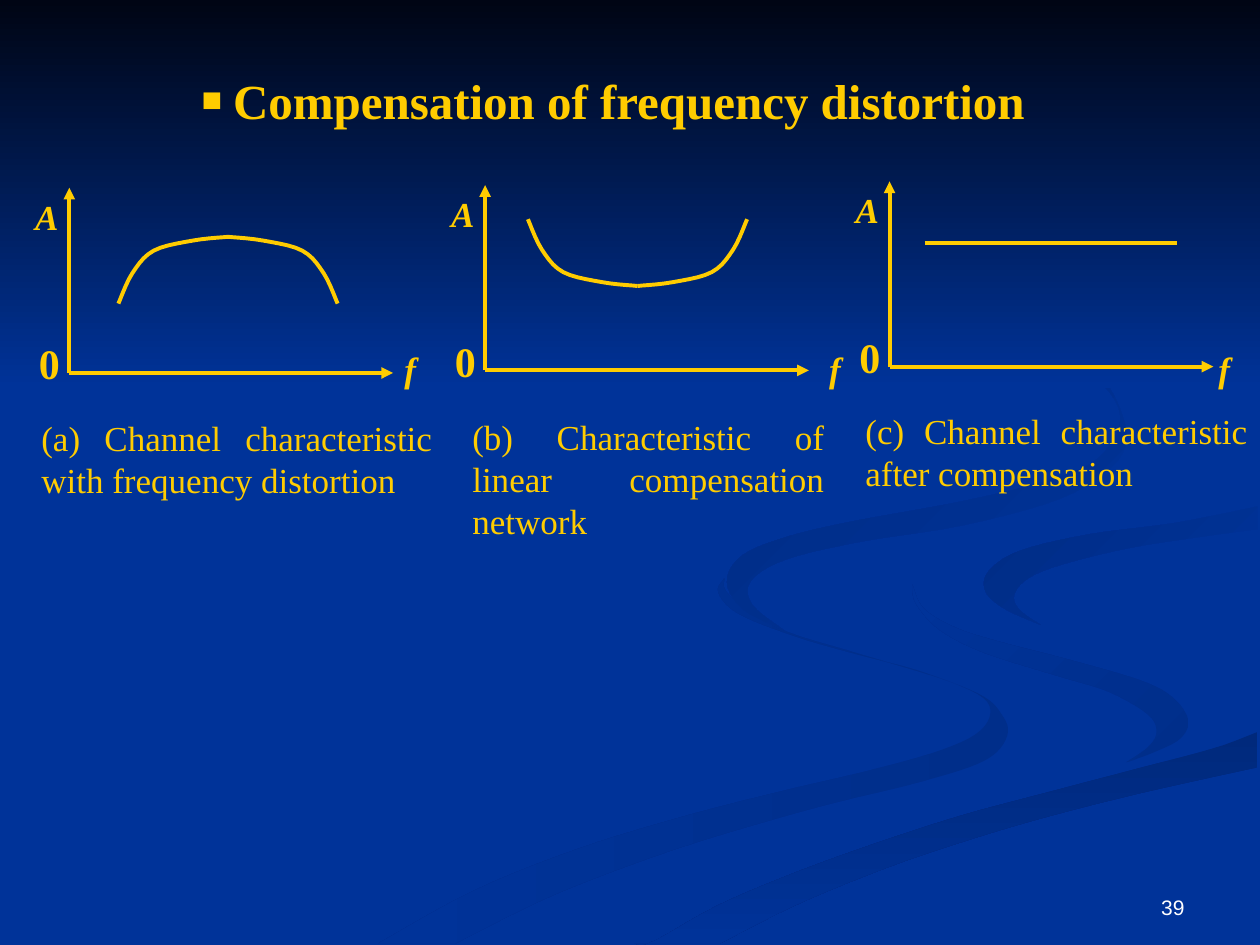
import pptx
import pptx.util
import pptx.dml.color
import pptx.enum.shapes
import pptx.enum.text
import pptx.oxml
import pptx.oxml.ns
from pptx.util import Inches

COLORS = {"background": "003399", "night": "000514", "gold": "FFCC00", "white": "FFFFFF",
          "ribbon_a": "002E8A", "ribbon_b": "00297C", "ribbon_c": "002C85", "ribbon_d": "002B81"}
RGB = {name: pptx.dml.color.RGBColor.from_string(value) for name, value in COLORS.items()}
ALIGN = pptx.enum.text.PP_ALIGN
ANCHOR = pptx.enum.text.MSO_ANCHOR
NS = pptx.oxml.ns.nsdecls("a")


def write_text(box, text, size, font="Times New Roman", color="gold", bold=False, italic=False,
               align=ALIGN.JUSTIFY, anchor=ANCHOR.TOP, inset=True):
    frame = box.text_frame
    frame.word_wrap = True
    frame.auto_size = pptx.enum.text.MSO_AUTO_SIZE.NONE
    frame.vertical_anchor = anchor
    frame.margin_left = frame.margin_right = Inches(0.1 if inset else 0)
    frame.margin_top = frame.margin_bottom = Inches(0.05 if inset else 0)
    paragraph = frame.paragraphs[0]
    paragraph.alignment = align
    run = paragraph.add_run()
    run.text = text
    run.font.size = pptx.util.Pt(size)
    run.font.name = font
    run.font.bold, run.font.italic = bold, italic
    run.font.color.rgb = RGB[color]


def smooth(points, steps=5):
    """Catmull-Rom curve through the points, as points in EMU."""
    padded = [points[0], *points, points[-1]]
    curve = []
    for p0, p1, p2, p3 in zip(padded, padded[1:], padded[2:], padded[3:]):
        for step in range(steps):
            t = step / steps
            curve.append(tuple(
                Inches(b + (c - a) * t / 2 + (2 * a - 5 * b + 4 * c - d) * t ** 2 / 2
                       + (3 * b - a - 3 * c + d) * t ** 3 / 2)
                for a, b, c, d in zip(p0, p1, p2, p3)))
    return curve + [tuple(Inches(v) for v in points[-1])]


prs = pptx.Presentation()
prs.slide_width, prs.slide_height = Inches(10), Inches(7.5)
slide = prs.slides.add_slide(prs.slide_layouts[5])
slide.background.fill.solid()
slide.background.fill.fore_color.rgb = RGB["background"]

# Background ribbons: start colour, end colour, angle, and the two edges
ribbons = [
    ("ribbon_a", "background", 180,
     [(3, 7.49), (3.76, 7.07), (4.58, 6.74), (5.39, 6.49), (6.16, 6.29), (6.84, 6.13),
      (7.39, 5.98), (7.74, 5.83), (7.86, 5.66), (7.76, 5.51), (7.31, 5.33), (6.79, 5.19),
      (6.31, 5.05), (5.86, 4.87), (5.7, 4.7), (5.75, 4.59)],
     [(5.75, 4.59), (5.76, 4.69), (5.94, 4.85), (6.26, 5.02), (6.82, 5.19), (7.45, 5.38),
      (7.81, 5.53), (7.95, 5.67), (8, 5.81), (7.91, 5.97), (7.69, 6.09), (7.21, 6.23),
      (6.51, 6.4), (5.64, 6.65), (4.99, 6.87), (4.31, 7.14), (3.61, 7.49)]),
    ("ribbon_a", "background", 135,
     [(7.24, 4.64), (7.33, 4.83), (7.58, 4.98), (7.92, 5.09), (8.5, 5.24), (9.05, 5.4),
      (9.3, 5.53), (9.43, 5.71), (9.37, 5.86), (9.16, 5.97), (8.94, 6.05)],
     [(8.94, 6.05), (9.11, 5.93), (9.18, 5.81), (9.11, 5.67), (8.8, 5.49), (8.38, 5.36),
      (7.81, 5.18), (7.46, 5), (7.27, 4.79), (7.24, 4.64)]),
    ("ribbon_b", "background", 270,
     [(5.03, 7.49), (5.19, 7.47), (5.69, 7.19), (6.3, 6.93), (6.96, 6.69), (7.64, 6.47),
      (8.31, 6.29), (9.03, 6.1), (9.63, 5.94), (9.98, 5.81)],
     [(9.98, 6.09), (9.03, 6.3), (8.21, 6.51), (7.52, 6.72), (6.95, 6.92), (6.3, 7.19),
      (5.71, 7.49)]),
    ("background", "ribbon_c", 135,
     [(9.98, 4.02), (9.33, 4.15), (8.65, 4.24), (8.1, 4.37), (7.85, 4.53), (7.82, 4.69),
      (7.97, 4.83), (8.26, 4.96)],
     [(8.26, 4.96), (8.09, 4.84), (8.05, 4.72), (8.16, 4.59), (8.43, 4.48), (8.96, 4.35),
      (9.54, 4.26), (9.98, 4.2)]),
    ("background", "ribbon_d", 135,
     [(7.62, 2.33), (8.1, 2.56), (8.54, 2.83), (8.8, 3.07), (8.94, 3.44), (8.83, 3.7),
      (8.41, 3.96), (7.64, 4.17), (6.83, 4.3), (6.24, 4.44), (5.96, 4.61), (5.97, 4.8),
      (6.22, 5)],
     [(6.22, 5), (5.9, 4.84), (5.77, 4.62), (5.89, 4.41), (6.25, 4.26), (6.76, 4.14),
      (7.63, 3.98), (8.3, 3.82), (8.7, 3.65), (8.89, 3.35), (8.76, 3.06), (8.26, 2.66),
      (7.62, 2.33)]),
]
backdrop = []
for start, end, angle, near_edge, far_edge in ribbons:
    outline = smooth(near_edge) + smooth(far_edge)
    builder = slide.shapes.build_freeform(*outline[0])
    builder.add_line_segments(outline[1:], close=True)
    backdrop.append((builder.convert_to_shape(), start, end, angle))

# Dark sky fading into the background
sky = slide.shapes.add_shape(pptx.enum.shapes.MSO_SHAPE.RECTANGLE, 0, 0, Inches(10), Inches(3.08))
backdrop.append((sky, "night", "background", 270))
for layer, start, end, angle in backdrop:
    layer.shadow.inherit = False
    layer.line.fill.background()
    layer.fill.gradient()
    layer.fill.gradient_angle = angle
    for stop, color in zip(layer.fill.gradient_stops, (start, end)):
        stop.color.rgb = RGB[color]

# Title with a square bullet, moved in front of the backdrop
title = slide.shapes.title
slide.shapes._spTree.append(title._element)
title.left, title.top, title.width, title.height = Inches(0), Inches(0.51), Inches(10), Inches(0.75)
title_format = title.text_frame.paragraphs[0]._p.get_or_add_pPr()
title_format.set("marL", str(Inches(1.75)))
title_format.set("indent", str(Inches(-0.25)))
for bullet in (f'<a:buClr {NS}><a:srgbClr val="{COLORS["gold"]}"/></a:buClr>',
               f'<a:buSzPct {NS} val="70000"/>',
               f'<a:buFont {NS} typeface="Arial"/>',
               f'<a:buChar {NS} char="■"/>'):
    title_format.append(pptx.oxml.parse_xml(bullet))
write_text(title, "Compensation of frequency distortion", 28, bold=True, align=ALIGN.LEFT)

# Three plots: origin, left of "f", caption and its box, response
plots = [
    (0.55, 2.96, 3.21, "(a) Channel characteristic with frequency distortion",
     (0.23, 3.26, 3.3, 0.93), "arch"),
    (3.85, 2.94, 6.58, "(b) Characteristic of linear compensation network",
     (3.65, 3.25, 2.99, 1.09), "valley"),
    (7.06, 2.91, 9.67, "(c) Channel characteristic after compensation",
     (6.77, 3.2, 3.23, 0.85), "flat"),
]
# Half of a response: distance from the centre, distance from the extreme
half_response = [(0.87, 0.53), (0.76, 0.29), (0.59, 0.11), (0.28, 0.03), (0, 0)]
centers = {"arch": (1.81, 1.88, 1), "valley": (5.06, 2.27, -1)}

for x, y, f_left, caption, caption_box, response in plots:
    plot = slide.shapes.add_group_shape().shapes

    # Axes with arrowheads, and the flat response without one
    lines = [(x, y, x, y - 1.47, True), (x, y, x + 2.57, y, True)]
    if response == "flat":
        lines.append((7.34, 1.93, 9.34, 1.93, False))
    for x1, y1, x2, y2, arrow in lines:
        line = plot.add_connector(pptx.enum.shapes.MSO_CONNECTOR.STRAIGHT,
                                  Inches(x1), Inches(y1), Inches(x2), Inches(y2))
        line.line.color.rgb = RGB["gold"]
        line.line.width = pptx.util.Pt(2.25)
        if arrow:
            line.line._get_or_add_ln().append(
                pptx.oxml.parse_xml(f'<a:tailEnd {NS} type="triangle"/>'))
        line._element.spPr.append(pptx.oxml.parse_xml(f'<a:effectLst {NS}/>'))

    # Curved response, one half on each side
    if response in centers:
        center, extreme, bend = centers[response]
        for side in (-1, 1):
            curve = smooth([(center + side * dx, extreme + bend * dy) for dx, dy in half_response])
            builder = plot.build_freeform(*curve[0])
            builder.add_line_segments(curve[1:], close=False)
            half = builder.convert_to_shape()
            half.shadow.inherit = False
            half.fill.background()
            half.line.color.rgb = RGB["gold"]
            half.line.width = pptx.util.Pt(2.25)

    # Axis labels and caption
    for label, left, top, size in (("0", x - 0.24, y - 0.28, 24),
                                   ("A", x - 0.27, y - 1.41, 20),
                                   ("f", f_left, 2.76, 20)):
        label_box = plot.add_textbox(Inches(left), Inches(top), Inches(0.24), Inches(0.7))
        write_text(label_box, label, size, bold=True, italic=label != "0", inset=False)
    write_text(plot.add_textbox(*map(Inches, caption_box)), caption, 20)

# Page number
page_number = slide.shapes.add_textbox(Inches(7.17), Inches(6.83), Inches(2.33), Inches(0.52))
write_text(page_number, "39", 12, font="Arial", color="white", align=ALIGN.RIGHT,
           anchor=ANCHOR.BOTTOM)

prs.save("out.pptx")
